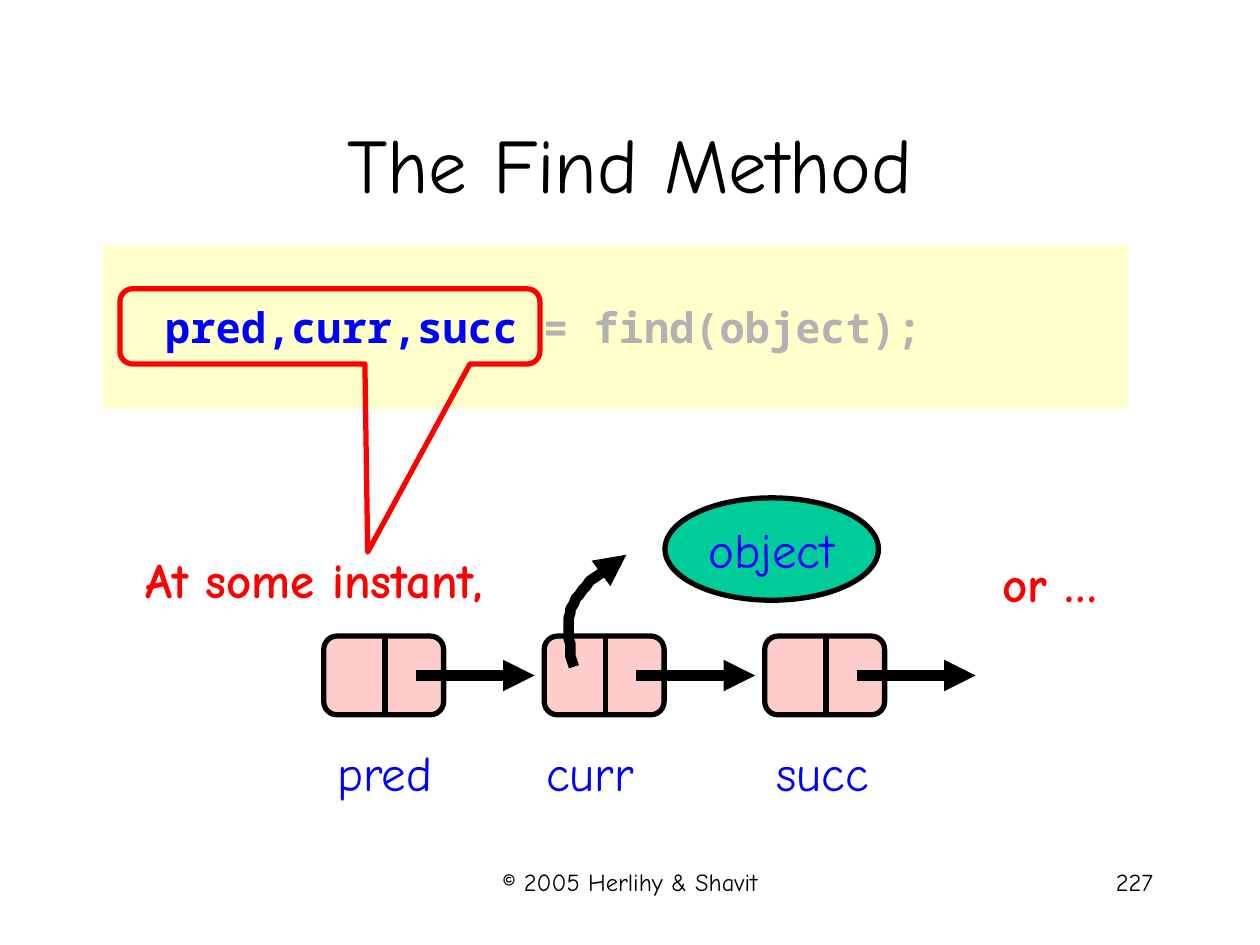
from dataclasses import dataclass

from lxml import etree
from pptx import Presentation
from pptx.dml.color import RGBColor
from pptx.enum.shapes import MSO_CONNECTOR, MSO_SHAPE
from pptx.enum.text import MSO_ANCHOR, PP_ALIGN
from pptx.oxml.ns import qn
from pptx.util import Pt

RECT = MSO_SHAPE.RECTANGLE
ROUND = MSO_SHAPE.ROUNDED_RECTANGLE
OVAL = MSO_SHAPE.OVAL
CALLOUT = MSO_SHAPE.ROUNDED_RECTANGULAR_CALLOUT
STRAIGHT = MSO_CONNECTOR.STRAIGHT
LEFT, CENTER, RIGHT = PP_ALIGN.LEFT, PP_ALIGN.CENTER, PP_ALIGN.RIGHT
MIDDLE, TOP = MSO_ANCHOR.MIDDLE, MSO_ANCHOR.TOP


@dataclass(frozen=True)
class Theme:
    sans: str = "Comic Neue"
    mono: str = "Noto Sans Mono"
    black: str = "000000"
    blue: str = "0000FF"
    red: str = "FF0000"
    grey: str = "B2B2B2"
    cream: str = "FFFFCC"
    pink: str = "FFCCCC"
    green: str = "00CC99"
    title: int = 44
    body: int = 28
    code: int = 24
    foot: int = 14
    thin: int = 3
    thick: int = 6


T = Theme()


def write(shape, runs, size, align=CENTER, anchor=TOP, font=T.sans, bold=False):
    """Fill a shape with one line made of (text, colour) runs."""
    frame = shape.text_frame
    frame.word_wrap = True
    frame.vertical_anchor = anchor
    para = frame.paragraphs[0]
    para.alignment = align
    for words, color in runs:
        run = para.add_run()
        run.text = words
        run.font.name = font
        run.font.size = Pt(size)
        run.font.bold = bold
        run.font.color.rgb = RGBColor.from_string(color)


def style(item, color, width, arrow=False):
    """Outline a shape or line, without shadow."""
    item.line.color.rgb = RGBColor.from_string(color)
    item.line.width = Pt(width)
    if arrow:
        etree.SubElement(item.line._get_or_add_ln(), qn("a:tailEnd"), type="triangle")
    etree.SubElement(item._element.spPr, qn("a:effectLst"))


deck = Presentation()
deck.slide_width, deck.slide_height = Pt(720), Pt(540)
shapes = deck.slides.add_slide(deck.slide_layouts[6]).shapes

# Title
title = shapes.add_textbox(Pt(54), Pt(48), Pt(612), Pt(90))
write(title, [("The Find Method", T.black)], T.title, anchor=MIDDLE)

# Code panel and the callout around its result
panel = shapes.add_shape(RECT, Pt(58.5), Pt(140), Pt(586), Pt(93.5))
panel.shadow.inherit = False
panel.fill.solid()
panel.fill.fore_color.rgb = RGBColor.from_string(T.cream)
panel.line.fill.background()
code = [("  pred,curr,succ ", T.blue), ("= find(object);", T.grey)]
write(panel, code, T.code, LEFT, MIDDLE, T.mono, True)

call = shapes.add_shape(CALLOUT, Pt(68.5), Pt(165), Pt(240), Pt(43))
for i, value in enumerate((0.09, 3, 0.17)):
    call.adjustments[i] = value
call.fill.background()
style(call, T.red, T.thin)

# List nodes, each with a divider and an arrow to the next
top, wide, high, pitch = 363.5, 68.5, 45, 126
for i in range(3):
    left = 185 + i * pitch
    node = shapes.add_shape(ROUND, Pt(left), Pt(top), Pt(wide), Pt(high))
    node.adjustments[0] = 0.17
    node.fill.solid()
    node.fill.fore_color.rgb = RGBColor.from_string(T.pink)
    style(node, T.black, T.thin)
    mid = left + 35
    split = shapes.add_connector(STRAIGHT, Pt(mid), Pt(top), Pt(mid), Pt(top + high))
    style(split, T.black, T.thin)
for i in range(3):
    start = 237.5 + i * pitch
    link = shapes.add_connector(STRAIGHT, Pt(start), Pt(386), Pt(start + 68), Pt(386))
    style(link, T.black, T.thick, arrow=True)

# The object held by the current node
oval = shapes.add_shape(OVAL, Pt(380), Pt(284.5), Pt(122), Pt(58.5))
oval.fill.solid()
oval.fill.fore_color.rgb = RGBColor.from_string(T.green)
style(oval, T.black, T.thin)
write(oval, [("object", T.blue)], T.body, anchor=MIDDLE)

# Curved arrow, traced along two cubic curves
curves = [
    ((327.5, 381), (325.5, 368.5), (322.5, 355.5), (327.5, 345)),
    ((327.5, 345), (332.5, 334), (345.5, 325.5), (358.5, 317)),
]
steps = 12
points = []
for curve in curves:
    for k in range(1, steps + 1):
        t = k / steps
        parts = ((1 - t) ** 3, 3 * t * (1 - t) ** 2, 3 * t * t * (1 - t), t ** 3)
        points.append([sum(p * c[axis] for p, c in zip(parts, curve)) for axis in (0, 1)])
pen = shapes.build_freeform(*curves[0][0], scale=Pt(1))
pen.add_line_segments(points, close=False)
curl = pen.convert_to_shape()
curl.fill.background()
style(curl, T.black, T.thick, arrow=True)

# Captions: text, left, top, width, height, size, colour, alignment, bold
captions = [
    ("At some instant, ", 31, 310.5, 307, 41, T.body, T.red, CENTER, True),
    ("or …", 538, 312.5, 124, 41, T.body, T.red, CENTER, True),
    ("pred", 170, 420.5, 100, 41, T.body, T.blue, CENTER, False),
    ("curr", 287, 420.5, 100, 41, T.body, T.blue, CENTER, False),
    ("succ", 420, 420.5, 100, 41, T.body, T.blue, CENTER, False),
    ("© 2005 Herlihy & Shavit", 246, 492, 228, 36, T.foot, T.black, CENTER, False),
    ("227", 516, 492, 150, 36, T.foot, T.black, RIGHT, False),
]
for words, left, top, wide, high, size, color, align, bold in captions:
    box = shapes.add_textbox(Pt(left), Pt(top), Pt(wide), Pt(high))
    write(box, [(words, color)], size, align, bold=bold)

deck.save("out.pptx")
